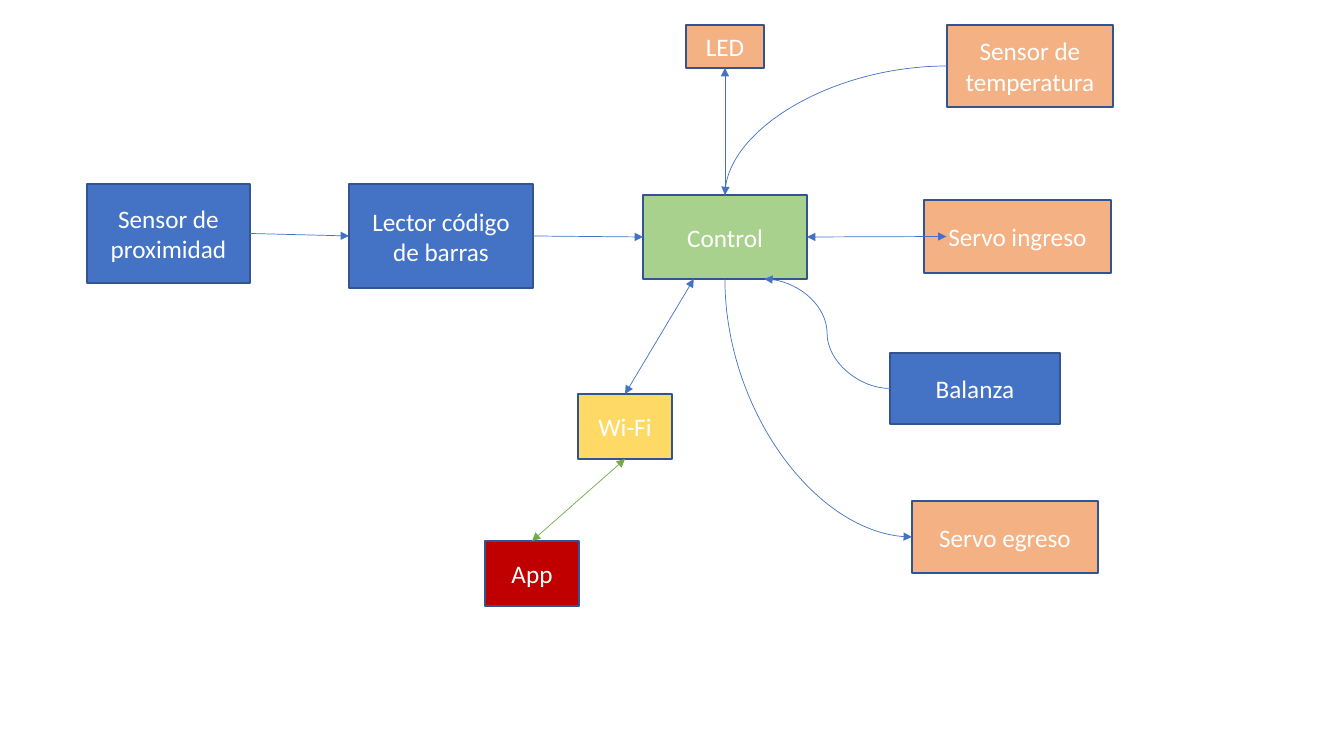
from dataclasses import dataclass

from pptx import Presentation
from pptx import util as u
from pptx.dml.color import RGBColor
from pptx.enum import shapes, text
from pptx.oxml.ns import qn
from lxml import etree


@dataclass(frozen=True)
class Theme:
    """Colours, font and sizes of the diagram."""
    blue: str = "4472C4"
    green: str = "A9D18E"
    orange: str = "F4B183"
    yellow: str = "FFD966"
    red: str = "C00000"
    border: str = "325491"
    app_link: str = "70AD47"
    label: str = "FFFFFF"
    font: str = "Calibri"
    label_size: float = 18
    border_width: float = 1
    link_width: float = 0.5


class Diagram:
    """Draws blocks and links on one slide, measured in pixels."""

    def __init__(self, slide, theme):
        self.slide, self.theme = slide, theme

    @staticmethod
    def px(pixels):
        """Turn pixels into EMU."""
        return u.Emu(round(pixels * 914400 / 100.8))

    def block(self, label, fill, left, top, width, height):
        """Add a labelled rectangle."""
        theme = self.theme
        block = self.slide.shapes.add_shape(
            shapes.MSO_SHAPE.RECTANGLE, *map(self.px, (left, top, width, height)))
        block.shadow.inherit = False
        block.fill.solid()
        block.fill.fore_color.rgb = RGBColor.from_string(fill)
        block.line.color.rgb = RGBColor.from_string(theme.border)
        block.line.width = u.Pt(theme.border_width)
        frame = block.text_frame
        frame.word_wrap = True
        frame.vertical_anchor = text.MSO_ANCHOR.MIDDLE
        frame.text = label
        paragraph = frame.paragraphs[0]
        paragraph.alignment = text.PP_ALIGN.CENTER
        paragraph.font.name = theme.font
        paragraph.font.size = u.Pt(theme.label_size)
        paragraph.font.color.rgb = RGBColor.from_string(theme.label)
        return block

    def link(self, start, end, ends="tail", preset="line", color=None):
        """Join two points, each given as a block with fractions across and down."""
        points = [value for block, across, down in (start, end)
                  for value in (round(block.left + block.width * across),
                                round(block.top + block.height * down))]
        link = self.slide.shapes.add_connector(shapes.MSO_CONNECTOR.STRAIGHT, *points)
        link.line.color.rgb = RGBColor.from_string(color or self.theme.blue)
        link.line.width = u.Pt(self.theme.link_width)
        properties = link.element.spPr
        properties.find(qn("a:prstGeom")).set("prst", preset)
        outline = properties.find(qn("a:ln"))
        for end_name in ends.split():
            etree.SubElement(outline, qn(f"a:{end_name}End"), type="triangle")
        etree.SubElement(properties, qn("a:effectLst"))


def main():
    """Build the block diagram of the control system."""
    deck = Presentation()
    deck.slide_width, deck.slide_height = Diagram.px(1344), Diagram.px(756)
    theme = Theme()
    diagram = Diagram(deck.slides.add_slide(deck.slide_layouts[6]), theme)
    block, link = diagram.block, diagram.link

    proximity = block("Sensor de proximidad", theme.blue, 87, 184, 163, 99)
    reader = block("Lector código de barras", theme.blue, 349, 184, 184, 104)
    control = block("Control", theme.green, 643, 195, 164, 84)
    led = block("LED", theme.orange, 686, 25, 78, 43)
    temperature = block("Sensor de temperatura", theme.orange, 947, 25, 166, 82)
    entry = block("Servo ingreso", theme.orange, 924, 200, 187, 73)
    scale = block("Balanza", theme.blue, 890, 353, 170, 71)
    departure = block("Servo egreso", theme.orange, 912, 501, 186, 72)
    wifi = block("Wi-Fi", theme.yellow, 578, 394, 94, 65)
    app = block("App", theme.red, 485, 541, 94, 65)

    link((proximity, 1, 0.5), (reader, 0, 0.5))
    link((reader, 1, 0.5), (control, 0, 0.5))
    link((control, 1, 0.5), (entry, 0.12, 0.5), "head tail")
    link((scale, 0, 0.5), (control, 0.74, 1), preset="curvedConnector3")
    link((departure, 0, 0.5), (control, 0.5, 1), "head", "curvedConnector2")
    link((wifi, 0.5, 0), (control, 0.31, 1), "head tail")
    link((app, 0.5, 0), (wifi, 0.5, 1), "head tail", color=theme.app_link)
    link((control, 0.5, 0), (led, 0.5, 1))
    link((temperature, 0, 0.5), (control, 0.5, 0), preset="curvedConnector2")

    deck.save("out.pptx")


main()
